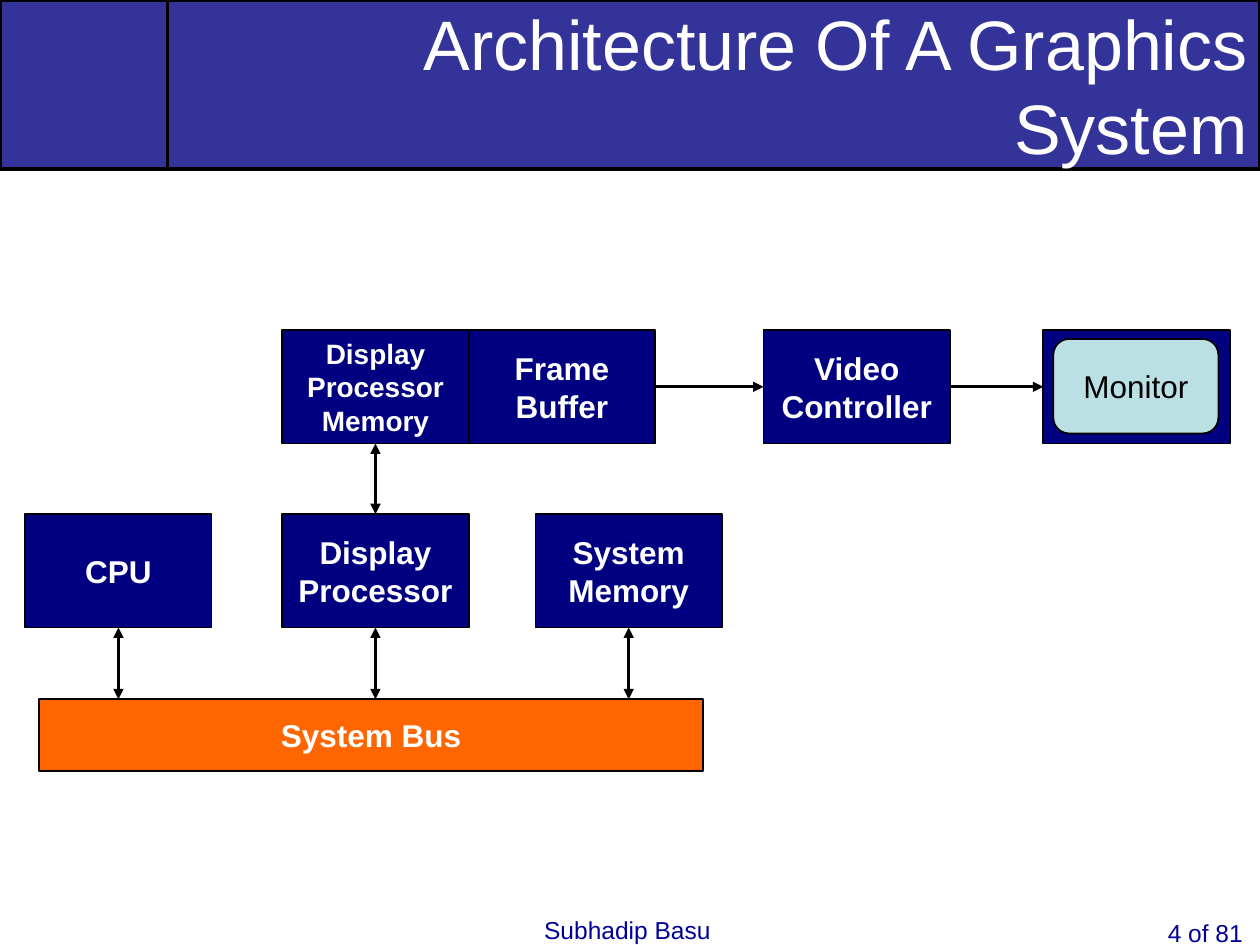
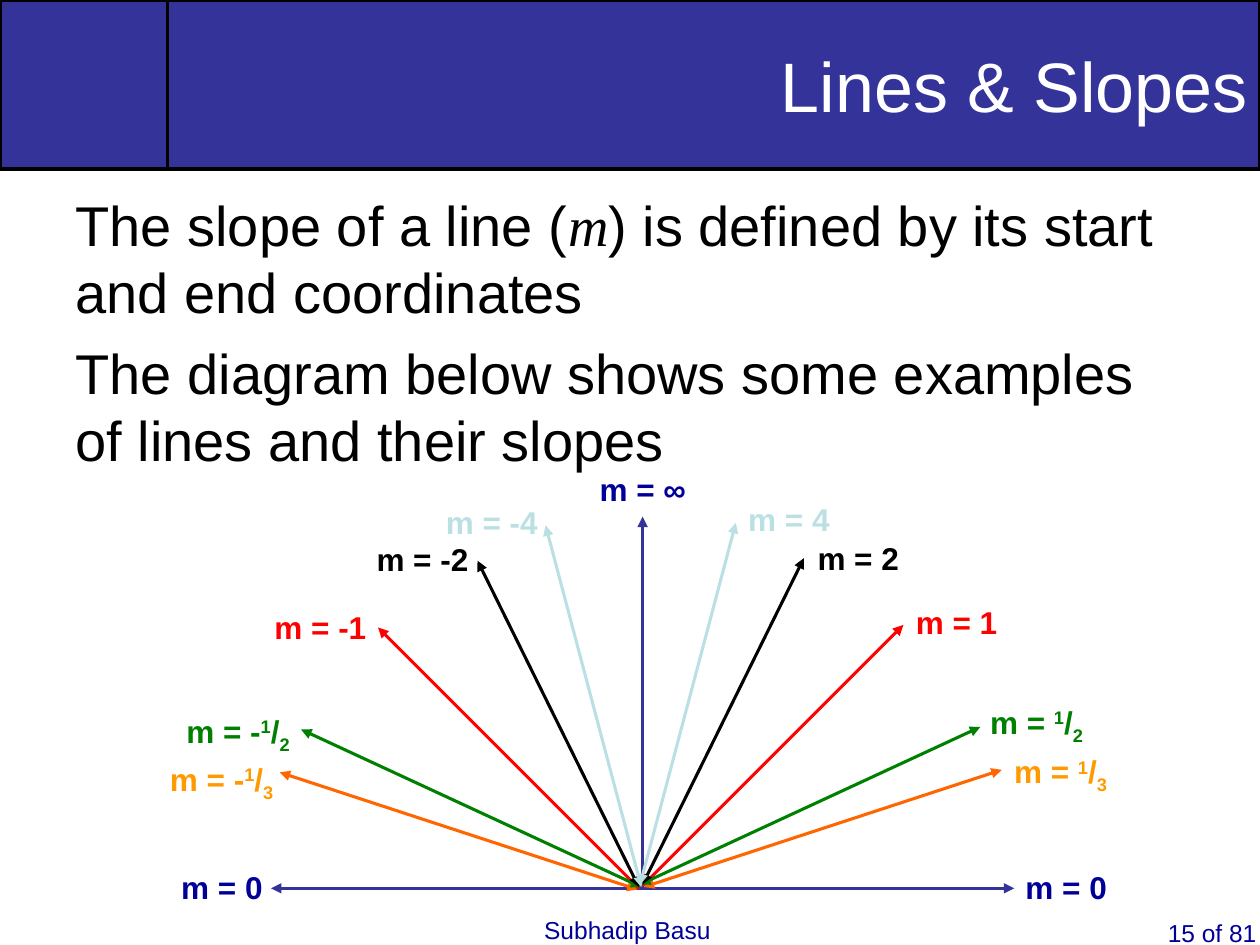
import dataclasses

import lxml.etree
import pptx
import pptx.dml.color
import pptx.enum.shapes
import pptx.enum.text
import pptx.oxml.ns
import pptx.util

SHAPES = pptx.enum.shapes.MSO_SHAPE
ALIGN = pptx.enum.text.PP_ALIGN
MIDDLE = pptx.enum.text.MSO_ANCHOR.MIDDLE
TOP, LEFT, BOTTOM, RIGHT = range(4)
COLUMNS, ROWS = 100, 75


@dataclasses.dataclass(frozen=True)
class Theme:
    font: str = "Arial"
    math_font: str = "Times New Roman"
    band: str = "333399"
    ink: str = "000000"
    paper: str = "FFFFFF"
    note: str = "000099"
    box: str = "000080"
    orange: str = "FF6600"
    amber: str = "FF9900"
    red: str = "FF0000"
    green: str = "008000"
    pale: str = "BBE0E3"
    title_size: int = 40
    body_size: int = 32
    label_size: int = 18
    small_label_size: int = 16
    footer_size: int = 14


class Deck:
    def __init__(self, theme):
        self.theme = theme
        self.presentation = pptx.Presentation()
        self.presentation.slide_width = pptx.util.Inches(10)
        self.presentation.slide_height = pptx.util.Inches(7.5)
        self.slide = None

    def x(self, columns):
        return round(self.presentation.slide_width * columns / COLUMNS)

    def y(self, rows):
        return round(self.presentation.slide_height * rows / ROWS)

    def area(self, left, top, width, height):
        return self.x(left), self.y(top), self.x(width), self.y(height)

    def color(self, value):
        return pptx.dml.color.RGBColor.from_string(value)

    def paint(self, shape, fill, line_width):
        shape.fill.solid()
        shape.fill.fore_color.rgb = self.color(fill)
        shape.line.color.rgb = self.color(self.theme.ink)
        shape.line.width = pptx.util.Pt(line_width)

    def format(self, paragraph, size, color, bold=False, align=ALIGN.LEFT):
        paragraph.alignment = align
        for run in paragraph.runs:
            run.font.name = self.theme.font
            run.font.size = pptx.util.Pt(size)
            run.font.bold = bold
            run.font.color.rgb = self.color(color)

    def new_slide(self, layout_index, title, page):
        theme = self.theme
        self.slide = self.presentation.slides.add_slide(
            self.presentation.slide_layouts[layout_index])
        self.box("", 0, 0, 13.3, 13.4, theme.band, line_width=2)
        heading = self.slide.shapes.title
        heading.left, heading.top, heading.width, heading.height = self.area(13.3, 0, 86.7, 13.4)
        self.paint(heading, theme.band, 2)
        frame = heading.text_frame
        frame.text = title
        frame.auto_size = pptx.enum.text.MSO_AUTO_SIZE.NONE
        frame.vertical_anchor = MIDDLE
        self.format(frame.paragraphs[0], theme.title_size, theme.paper, align=ALIGN.RIGHT)
        self.label(["Subhadip Basu"], 42.2, 72.1, 15.2, 2.9, theme.note,
                   theme.footer_size, bold=False)
        self.label([f"{page} of 81"], 91.7, 72.4, 8.3, 2.6, theme.note,
                   theme.footer_size, bold=False)

    def body(self, paragraphs, left, top, width, height):
        placeholder = self.slide.placeholders[1]
        placeholder.left, placeholder.top, placeholder.width, placeholder.height = self.area(
            left, top, width, height)
        frame = placeholder.text_frame
        frame.auto_size = pptx.enum.text.MSO_AUTO_SIZE.NONE
        for index, pieces in enumerate(paragraphs):
            paragraph = frame.add_paragraph() if index else frame.paragraphs[0]
            for piece in pieces:
                paragraph.add_run().text = piece
            self.format(paragraph, self.theme.body_size, self.theme.ink)
            paragraph.space_before = pptx.util.Pt(8)
            properties = paragraph._p.get_or_add_pPr()
            properties.set("marL", "0")
            properties.set("indent", "0")
            lxml.etree.SubElement(properties, pptx.oxml.ns.qn("a:buNone"))
        return frame

    def box(self, text, left, top, width, height, fill, size=None, color=None,
            bold=True, line_width=1, preset=SHAPES.RECTANGLE):
        shape = self.slide.shapes.add_shape(preset, *self.area(left, top, width, height))
        shape.shadow.inherit = False
        self.paint(shape, fill, line_width)
        if text:
            shape.text_frame.text = text
            shape.text_frame.vertical_anchor = MIDDLE
            self.format(shape.text_frame.paragraphs[0], size or self.theme.label_size,
                        color or self.theme.paper, bold, ALIGN.CENTER)
        return shape

    def label(self, pieces, left, top, width, height, color, size=None, bold=True):
        shape = self.slide.shapes.add_textbox(*self.area(left, top, width, height))
        shape.text_frame.word_wrap = True
        shape.text_frame.margin_right = 0
        paragraph = shape.text_frame.paragraphs[0]
        for piece in pieces:
            paragraph.add_run().text = piece
        self.format(paragraph, size or self.theme.label_size, color, bold)
        return shape

    def slope_label(self, sign, value, left, top, width, color):
        numerator, slash, denominator = value.partition("/")
        if not slash:
            self.label([f"m = {sign}{value}"], left, top, width, 4, color)
            return
        pieces = [f"m = {sign}", numerator, slash, denominator]
        shape = self.label(pieces, left, top, width, 4.4, color)
        runs = shape.text_frame.paragraphs[0].runs
        runs[1].font._element.set("baseline", "30000")
        runs[3].font._element.set("baseline", "-25000")

    def arrow(self, start, end, color, width, both=True):
        connector = self.slide.shapes.add_connector(
            pptx.enum.shapes.MSO_CONNECTOR.STRAIGHT,
            self.x(start[0]), self.y(start[1]), self.x(end[0]), self.y(end[1]))
        connector.line.color.rgb = self.color(color)
        connector.line.width = pptx.util.Pt(width)
        line = connector.line._get_or_add_ln()
        for end_name in ("headEnd", "tailEnd") if both else ("tailEnd",):
            lxml.etree.SubElement(line, pptx.oxml.ns.qn(f"a:{end_name}"), type="triangle")
        lxml.etree.SubElement(connector._element.spPr, pptx.oxml.ns.qn("a:effectLst"))
        return connector

    def join(self, source, source_side, target, target_side, both):
        connector = self.arrow((0, 0), (1, 1), self.theme.ink, 1.5, both)
        connector.begin_connect(source, source_side)
        connector.end_connect(target, target_side)

    def drop(self, source, target):
        connector = self.arrow((0, 0), (1, 1), self.theme.ink, 1.5)
        connector.begin_connect(source, BOTTOM)
        connector.end_x = source.left + source.width // 2
        connector.end_y = target.top


def architecture_slide(deck):
    theme = deck.theme
    deck.new_slide(5, "Architecture Of A Graphics System", 4)
    box_width, box_height, upper, lower = 14.8, 9, 26.2, 40.8
    system_bus = deck.box("System Bus", 3.1, 55.5, 52.7, 5.7, theme.orange)

    def unit(text, left, top, size=None):
        return deck.box(text, left, top, box_width, box_height, theme.box, size)

    cpu = unit("CPU", 2, lower)
    display_processor = unit("Display Processor", 22.4, lower)
    system_memory = unit("System Memory", 42.5, lower)
    display_memory = unit("Display Processor Memory", 22.4, upper, theme.small_label_size)
    frame_buffer = unit("Frame Buffer", 22.4 + box_width, upper)
    video_controller = unit("Video Controller", 60.6, upper)
    monitor_case = unit("", 82.8, upper)
    deck.box("Monitor", 83.6, 26.9, 13.1, 7.5, theme.pale, color=theme.ink,
             bold=False, preset=SHAPES.ROUNDED_RECTANGLE)

    for source in (cpu, display_processor, system_memory):
        deck.drop(source, system_bus)
    deck.join(display_memory, BOTTOM, display_processor, TOP, both=True)
    deck.join(frame_buffer, RIGHT, video_controller, LEFT, both=False)
    deck.join(video_controller, RIGHT, monitor_case, LEFT, both=False)


def slopes_slide(deck):
    theme = deck.theme
    deck.new_slide(1, "Lines & Slopes", 15)
    frame = deck.body([
        ["The slope of a line (", "m", ") is defined by its start and end coordinates"],
        ["The diagram below shows some examples of lines and their slopes"],
    ], 5, 14.6, 90, 25)
    symbol = frame.paragraphs[0].runs[1].font
    symbol.name = theme.math_font
    symbol.italic = True

    axis, left_shift, line_width = 50.85, 0.2, 1.75
    deck.arrow((21.5, 70.5), (80.5, 70.5), theme.band, line_width)
    deck.arrow((51, 70.6), (51, 41), theme.band, line_width)
    for value, left, top, width in (("0", 13.4, 68.4, 8.4), ("0", 80.4, 68.4, 8.4),
                                    ("∞", 46.6, 36.8, 8.8)):
        deck.slope_label("", value, left, top, width, theme.note)

    arms = (
        ("1", theme.red, theme.red, (50.9, 70.4), (71.7, 49.6), (71.7, 47.4), (30.1, 47.8)),
        ("1/3", theme.orange, theme.amber, (51.1, 70.4), (79.5, 61.1), (79.5, 59.2), (22.7, 59.8)),
        ("1/2", theme.green, theme.green, (50.8, 70.2), (77.8, 57.7), (77.6, 55.3), (24, 56)),
        ("2", theme.ink, theme.ink, (51, 70.2), (63.8, 44.3), (63.9, 42.3), (38.2, 42.4)),
        ("4", theme.pale, theme.pale, (50.8, 70.2), (58.4, 41.5), (58.4, 39.2), (43.7, 39.4)),
    )
    for value, line_color, text_color, origin, tip, right_label, left_label in arms:
        mirrored = [(2 * axis - x, y + left_shift) for x, y in (origin, tip)]
        deck.arrow(*mirrored, line_color, line_width)
        deck.arrow(origin, tip, line_color, line_width)
        right_width, left_width = (9.4, 10.2) if "/" in value else (8.4, 9.3)
        deck.slope_label("", value, *right_label, right_width, text_color)
        deck.slope_label("-", value, left_label[0] - left_width, left_label[1],
                         left_width, text_color)


def main():
    deck = Deck(Theme())
    architecture_slide(deck)
    slopes_slide(deck)
    deck.presentation.save("out.pptx")


if __name__ == "__main__":
    main()
